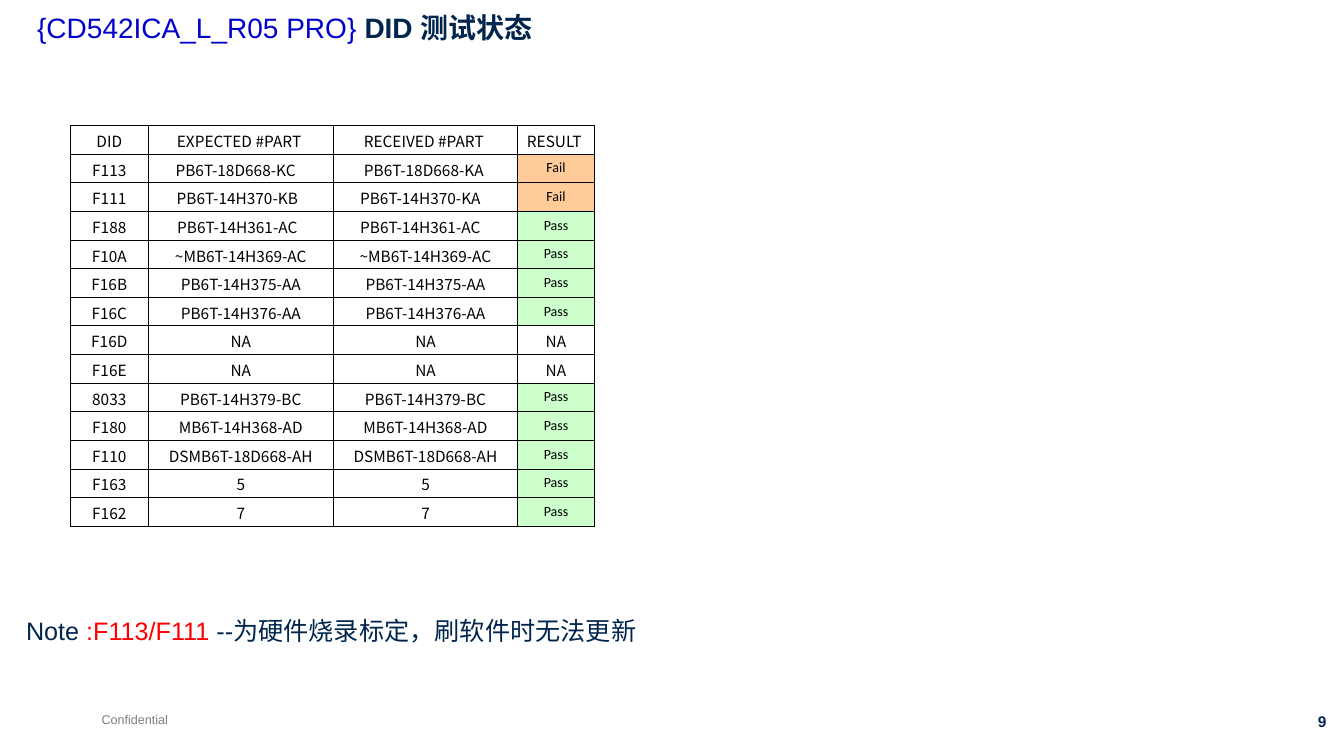
from lxml import etree
from pptx import Presentation
from pptx.dml.color import RGBColor
from pptx.enum import text as t
from pptx.oxml import ns
from pptx.util import Pt

NAVY, RED, BLACK = "00264E", "FF0000", "000000"
FILLS = {"Fail": "FFCC99", "Pass": "CCFFCC"}
WIDTHS = [55.5, 132.5, 131.5, 55]
ROW = 20.45
SPACE = 2.46  # margin that moves a centred text left by half a space

ROWS = [
    ("DID", "EXPECTED #PART", "RECEIVED #PART", "RESULT"),
    ("F113", "PB6T-18D668-KC", "PB6T-18D668-KA", "Fail"),
    ("F111", "PB6T-14H370-KB", "PB6T-14H370-KA", "Fail"),
    ("F188", "PB6T-14H361-AC", "PB6T-14H361-AC", "Pass"),
    ("F10A", "~MB6T-14H369-AC", "~MB6T-14H369-AC", "Pass"),
    ("F16B", "PB6T-14H375-AA", "PB6T-14H375-AA", "Pass"),
    ("F16C", "PB6T-14H376-AA", "PB6T-14H376-AA", "Pass"),
    ("F16D", "NA", "NA", "NA"),
    ("F16E", "NA", "NA", "NA"),
    ("8033", "PB6T-14H379-BC", "PB6T-14H379-BC", "Pass"),
    ("F180", "MB6T-14H368-AD", "MB6T-14H368-AD", "Pass"),
    ("F110", "DSMB6T-18D668-AH", "DSMB6T-18D668-AH", "Pass"),
    ("F163", "5", "5", "Pass"),
    ("F162", "7", "7", "Pass"),
]
# Cells set off centre: (row, column) -> spaces
SHIFTS = {(0, 1): 1, (0, 2): 1, (0, 3): 1, (1, 1): 3, (1, 2): 1,
          (2, 1): 2, (2, 2): 3, (3, 1): 2, (3, 2): 3}


def color(hexa):
    return RGBColor.from_string(hexa)


def add_label(slide, box, runs, size, align=t.PP_ALIGN.LEFT, line=None):
    """Text box whose runs are (text, colour, bold)."""
    frame = slide.shapes.add_textbox(*map(Pt, box)).text_frame
    frame.word_wrap = True
    para = frame.paragraphs[0]
    para.alignment = align
    para.line_spacing = line
    para.font.size, para.font.name = Pt(size), "Arial"
    for words, hue, bold in runs:
        run = para.add_run()
        run.text = words
        run.font.color.rgb = color(hue)
        run.font.bold = bold


def add_border(cell):
    props = cell._tc.get_or_add_tcPr()
    for side in ("a:lnL", "a:lnR", "a:lnT", "a:lnB"):
        line = etree.SubElement(props, ns.qn(side), w=str(Pt(0.23)))
        fill = etree.SubElement(line, ns.qn("a:solidFill"))
        etree.SubElement(fill, ns.qn("a:srgbClr"), val=BLACK)


def fill_cell(cell, words, shift):
    verdict = words in FILLS
    add_border(cell)
    cell.fill.solid()
    cell.fill.fore_color.rgb = color(FILLS.get(words, "FFFFFF"))
    cell.margin_left = cell.margin_top = 0
    cell.margin_right = Pt(shift * SPACE)
    cell.margin_bottom = Pt(0 if verdict else 1.4)
    cell.vertical_anchor = t.MSO_ANCHOR.MIDDLE if verdict else t.MSO_ANCHOR.BOTTOM
    cell.text = words
    para = cell.text_frame.paragraphs[0]
    para.alignment = t.PP_ALIGN.CENTER
    para.font.size = Pt(10 if verdict else 11)
    para.font.name = "Calibri" if verdict else "Noto Sans CJK SC"
    para.font.color.rgb = color(BLACK)


def add_results(slide, left, top):
    size = Pt(sum(WIDTHS)), Pt(ROW * len(ROWS))
    grid = slide.shapes.add_table(len(ROWS), len(WIDTHS), Pt(left), Pt(top), *size).table
    grid.first_row = grid.horz_banding = False
    for col, width in zip(grid.columns, WIDTHS):
        col.width = Pt(width)
    for r, row in enumerate(ROWS):
        grid.rows[r].height = Pt(ROW)
        for c, words in enumerate(row):
            fill_cell(grid.cell(r, c), words, SHIFTS.get((r, c), 0))


def main():
    deck = Presentation()
    deck.slide_width, deck.slide_height = Pt(960.5), Pt(540)
    slide = deck.slides.add_slide(deck.slide_layouts[6])

    # Footer
    add_label(slide, (65.5, 505, 80, 18), [("Confidential", "7F7F7F", False)], 9)
    add_label(slide, (887, 505, 68, 21), [("9", NAVY, True)], 11, t.PP_ALIGN.RIGHT)

    # Title
    add_label(slide, (19.5, 7, 853, 45),
              [("{CD542ICA_L_R05 PRO} ", "0000CC", False), ("DID 测试状态", NAVY, True)],
              20, line=0.9)

    # Note
    add_label(slide, (11.5, 436, 470, 29),
              [("Note ", NAVY, False), (":F113/F111 ", RED, False),
               ("--为硬件烧录标定，刷软件时无法更新", NAVY, False)], 18)

    # Test results
    add_results(slide, 50.4, 89.5)
    deck.save("out.pptx")


if __name__ == "__main__":
    main()
